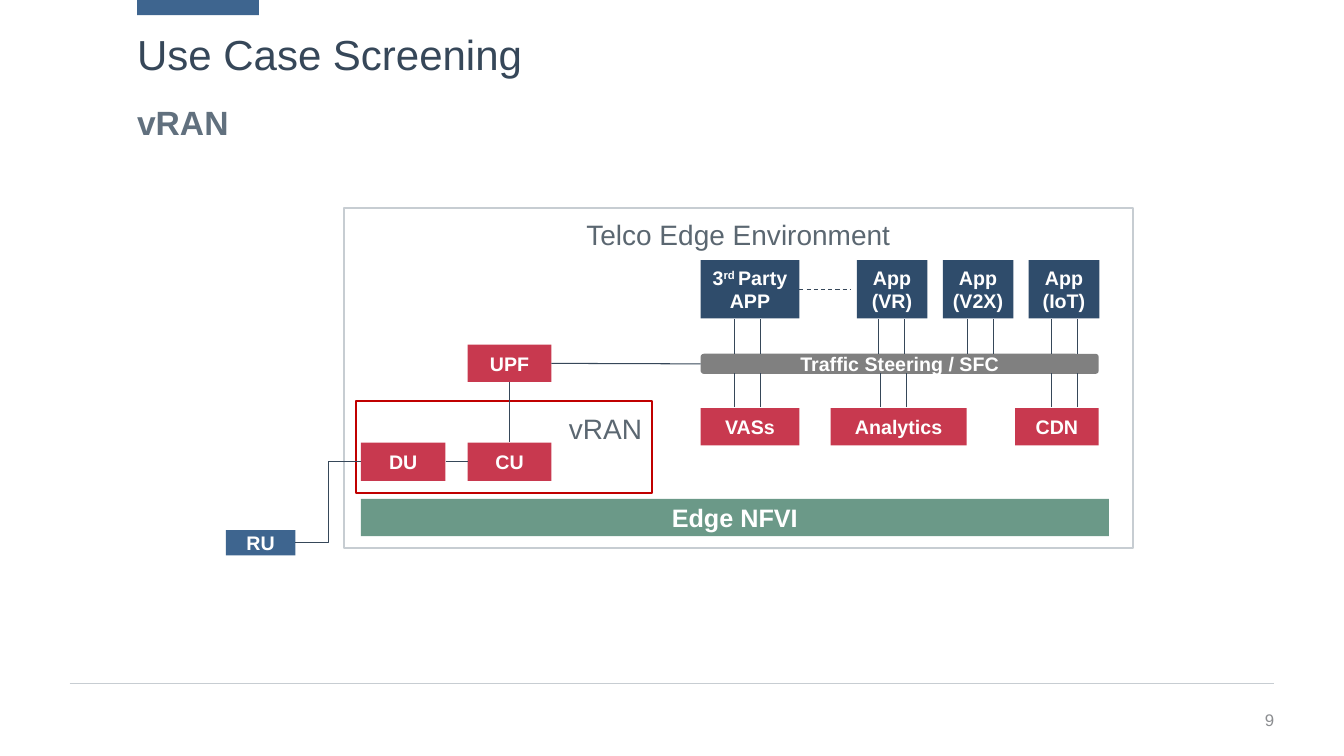
from dataclasses import dataclass

from lxml import etree
from pptx import Presentation
from pptx.dml.color import RGBColor
from pptx.enum.dml import MSO_LINE
from pptx.enum.shapes import MSO_CONNECTOR, MSO_SHAPE
from pptx.enum.text import MSO_ANCHOR, MSO_AUTO_SIZE, PP_ALIGN
from pptx.oxml.ns import qn
from pptx.util import Inches, Length, Pt

RECT, ROUND = MSO_SHAPE.RECTANGLE, MSO_SHAPE.ROUNDED_RECTANGLE
LINE, ELBOW = MSO_CONNECTOR.STRAIGHT, MSO_CONNECTOR.ELBOW
LEFT, MID, RIGHT = PP_ALIGN.LEFT, PP_ALIGN.CENTER, PP_ALIGN.RIGHT
TOP, CENTER = MSO_ANCHOR.TOP, MSO_ANCHOR.MIDDLE
NO_FIT = MSO_AUTO_SIZE.NONE
DASH = MSO_LINE.DASH

FONT = "Arial"
RED, NAVY, BLUE, GREEN = "C8394F", "2F4C6B", "3E658F", "6B9988"
GRAY, RULE, INK, LABEL, FRAME = "808080", "C7CDD2", "364759", "5B6771", "C00000"
WHITE = "FFFFFF"


@dataclass
class Box:
    """A filled box; place is column, row, columns, rows."""
    name: str
    place: tuple[float, float, float, float]
    fill: str
    size: float = 14
    side: float = 1
    kind: int = RECT


@dataclass
class Frame:
    text: str
    place: tuple[float, float, float, float]
    edge: str
    align: int


@dataclass
class Link:
    """A connector from one site of a box to a site of another."""
    start: str
    out: int
    end: str
    into: int
    kind: int = LINE


def cell(count: float) -> Length:
    """Length of a number of grid cells, ten to the inch."""
    return Inches(count / 10)


def color(code: str) -> RGBColor:
    return RGBColor.from_string(code)


def area(place: tuple) -> list[Length]:
    return [cell(n) for n in place]


def inset(frame, side: float = 0, top: float = 0, base: float = 0) -> None:
    frame.margin_left = frame.margin_right = cell(side)
    frame.margin_top, frame.margin_bottom = cell(top), cell(base)
    frame.word_wrap = True


def add_run(para, text: str, size: float, code: str, bold: bool = False):
    run = para.add_run()
    run.text = text
    run.font.name, run.font.size, run.font.bold = FONT, Pt(size), bold
    run.font.color.rgb = color(code)
    return run


def fill_text(frame, text: str, size: float, code: str, align: int,
              anchor: int, bold: bool = False) -> None:
    frame.vertical_anchor = anchor
    para = frame.paragraphs[0]
    para.alignment = align
    # Caret marks set off a raised part
    for i, part in enumerate(text.split("^")):
        run = add_run(para, part, size, code, bold)
        if i == 1:
            run._r.get_or_add_rPr().set("baseline", "30000")


def add_box(slide, box: Box):
    shape = slide.shapes.add_shape(box.kind, *area(box.place))
    shape.shadow.inherit = False
    shape.fill.solid()
    shape.fill.fore_color.rgb = color(box.fill)
    shape.line.fill.background()
    if box.name:
        inset(shape.text_frame, box.side, 0.5, 0.5)
        fill_text(shape.text_frame, box.name.replace("\n", " "), box.size,
                  WHITE, MID, CENTER, True)
    return shape


def add_frame(slide, item: Frame) -> None:
    shape = slide.shapes.add_shape(RECT, *area(item.place))
    shape.shadow.inherit = False
    shape.fill.background()
    shape.line.color.rgb = color(item.edge)
    shape.line.width = Pt(1.5)
    inset(shape.text_frame, 1, 1, 0.5)
    fill_text(shape.text_frame, item.text, 20, LABEL, item.align, TOP)


def add_line(slide, ends: tuple, code: str = INK, width: float = 0.75,
             kind: int = LINE):
    line = slide.shapes.add_connector(kind, *area(ends))
    line.line.color.rgb = color(code)
    line.line.width = Pt(width)
    etree.SubElement(line._element.spPr, qn("a:effectLst"))
    return line


def set_holder(holder, place: tuple, text: str, size: float, code: str,
               bold: bool = False):
    holder.left, holder.top, holder.width, holder.height = area(place)
    frame = holder.text_frame
    frame.auto_size = NO_FIT
    inset(frame)
    para = frame.paragraphs[0]
    props = para._p.get_or_add_pPr()
    props.set("marL", "0")
    props.set("indent", "0")
    etree.SubElement(props, qn("a:buNone"))
    para.space_before = Pt(0)
    fill_text(frame, text, size, code, LEFT, TOP, bold)
    return para


ROW = 40.5   # services
APPS = 25.8  # applications
BOXES = [
    Box("UPF", (46.4, 34.2, 8.3, 3.7), RED, side=2),
    Box("Edge NFVI", (35.8, 49.5, 74.2, 3.7), GREEN, 18),
    Box("CU", (46.4, 43.9, 8.3, 3.8), RED, side=2),
    Box("DU", (35.8, 43.9, 8.4, 3.8), RED, side=2),
    Box("VASs", (69.5, ROW, 9.8, 3.7), RED, side=2),
    Box("Analytics", (82.4, ROW, 13.5, 3.7), RED, side=2),
    Box("CDN", (100.7, ROW, 8.3, 3.7), RED, side=2),
    Box("3^rd ^Party APP", (69.5, APPS, 9.8, 5.8), NAVY),
    *(Box(f"App ({tag})", (85 + 8.53 * i, APPS, 7, 5.8), NAVY)
      for i, tag in enumerate(("VR", "V2X", "IoT"))),
    Box("Traffic Steering / SFC", (69.5, 35.1, 39.5, 2), GRAY, kind=ROUND),
    Box("RU", (22.4, 52.6, 6.9, 2.5), BLUE, side=2),
]
FRAMES = [
    Frame("Telco Edge Environment", (34.1, 20.6, 78.3, 33.8), RULE, MID),
    Frame("vRAN", (35.3, 39.8, 29.4, 9.1), FRAME, RIGHT),
]
LINKS = [
    Link("UPF", 3, "Traffic Steering / SFC", 1),
    Link("UPF", 2, "CU", 0),
    Link("DU", 3, "CU", 1),
    Link("RU", 3, "DU", 1, ELBOW),
]
# Left column of each pair of lines, by top and bottom row
PAIRS = {
    (31.6, 35.1): (72.9, 87.2, 96, 104.3),
    (37, 40.4): (72.9, 87.35, 104.3),
}
GAP = 2.55


def main() -> None:
    deck = Presentation()
    deck.slide_width, deck.slide_height = cell(133.33), cell(75)
    slide = deck.slides.add_slide(deck.slide_layouts[1])

    # Page furniture
    add_line(slide, (6.9, 67.8, 126.4, 67.8), RULE, 1)
    add_box(slide, Box("", (13.6, 0, 12.1, 1.5), BLUE))
    page = slide.shapes.add_textbox(*area((119.7, 69.4, 6.7, 4))).text_frame
    inset(page)
    fill_text(page, "9", 12, "8C8E91", RIGHT, CENTER)

    # Title and subtitle
    title = set_holder(slide.shapes.title, (13.6, 3.2, 106.1, 4.8),
                       "Use Case Screening", 30, INK)
    title.line_spacing = 0.95
    set_holder(slide.placeholders[1], (13.6, 10.1, 112.7, 5.9),
               "vRAN", 24, "61707E", True)

    # Boxes and frames
    made = {box.name: add_box(slide, box) for box in BOXES}
    for item in FRAMES:
        add_frame(slide, item)

    # Links between boxes
    for link in LINKS:
        line = add_line(slide, (0, 0, 1, 1), kind=link.kind)
        line.begin_connect(made[link.start], link.out)
        line.end_connect(made[link.end], link.into)
    more = add_line(slide, (79.3, 28.7, 84.4, 28.7))
    more.line.dash_style = DASH
    more.begin_connect(made["3^rd ^Party APP"], 3)

    # Paired lines above and below the steering bar
    for (top, base), cols in PAIRS.items():
        for col in cols:
            for x in (col, col + GAP):
                add_line(slide, (x, base, x, top))

    deck.save("out.pptx")


if __name__ == "__main__":
    main()
